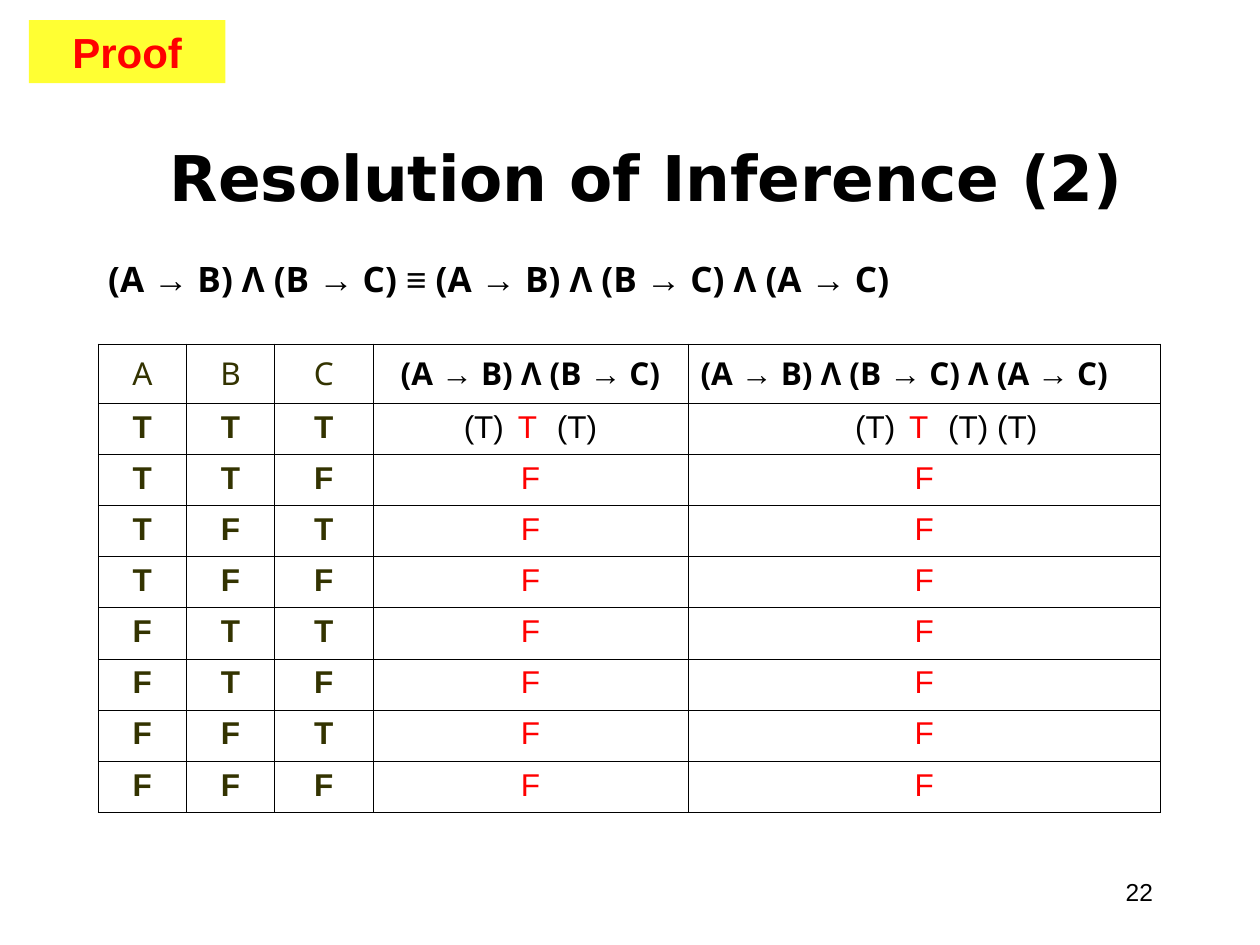
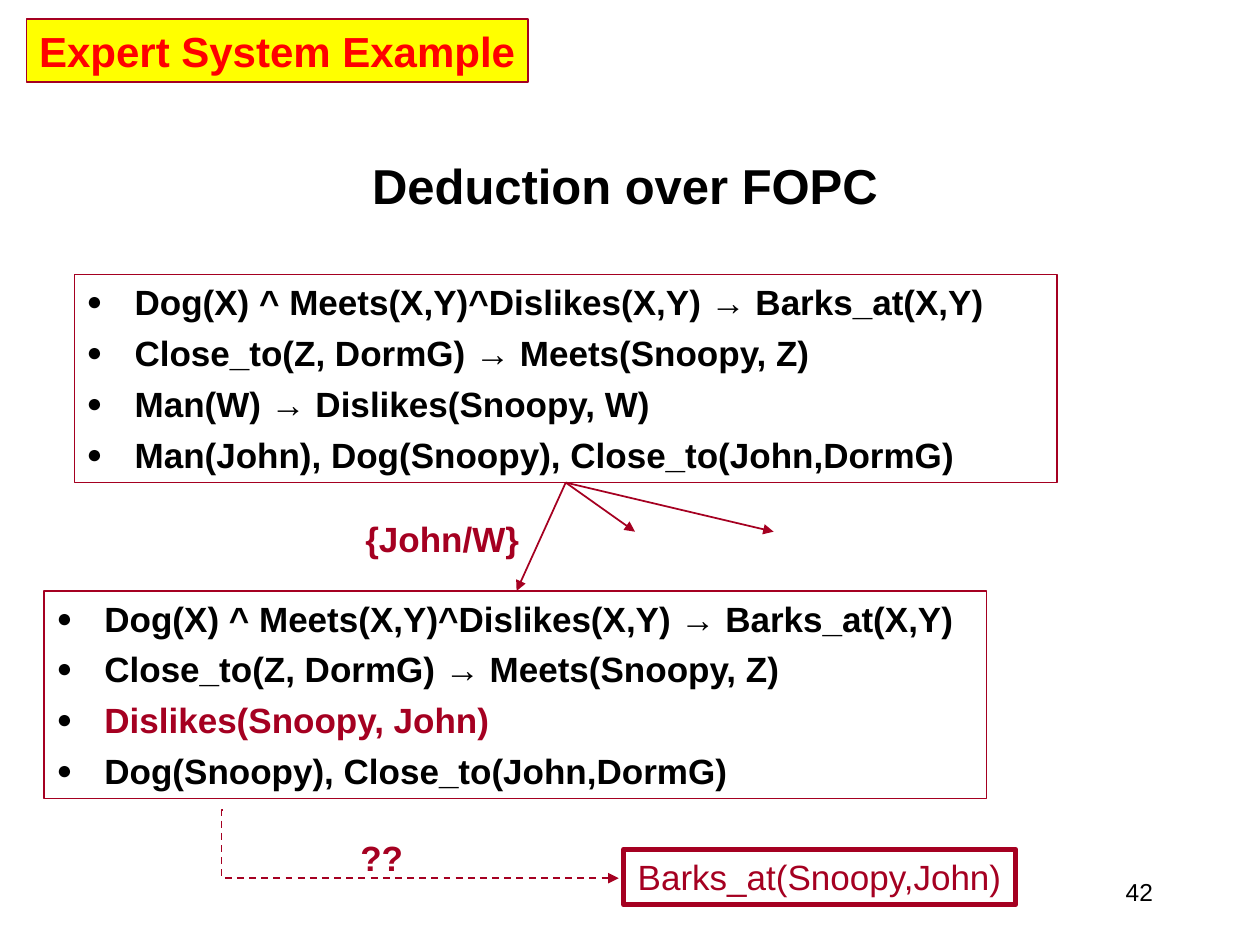
from itertools import groupby, product

from lxml import etree
from pptx import Presentation
from pptx.dml.color import RGBColor
from pptx.enum import dml, shapes, text
from pptx.oxml import ns
from pptx.util import Pt

PX = 9144
BLACK = RGBColor(0x00, 0x00, 0x00)
RED = RGBColor(0xFF, 0x00, 0x00)
CRIMSON = RGBColor(0xA5, 0x00, 0x21)
OLIVE = RGBColor(0x33, 0x33, 0x00)
LEMON = RGBColor(0xFF, 0xFF, 0x33)
YELLOW = RGBColor(0xFF, 0xFF, 0x00)
SANS, MATH, DISPLAY = "Arial", "Noto Sans", "DejaVu Sans"
LEFT, CENTER, RIGHT = text.PP_ALIGN.LEFT, text.PP_ALIGN.CENTER, text.PP_ALIGN.RIGHT
TOP, MIDDLE, BOTTOM = text.MSO_ANCHOR.TOP, text.MSO_ANCHOR.MIDDLE, text.MSO_ANCHOR.BOTTOM

PREMISE = "(A → B) Λ (B → C)"
CONCLUSION = PREMISE + " Λ (A → C)"
BARK_RULE = "Dog(X) ^ Meets(X,Y)^Dislikes(X,Y) → Barks_at(X,Y)"
MEET_RULE = "Close_to(Z, DormG) → Meets(Snoopy, Z)"


def emu(*lengths):
    return [n * PX for n in lengths]


def add_xml(parent, tag, **attrs):
    return etree.SubElement(parent, ns.qn(tag), attrs)


def style(font, size, color=BLACK, bold=False, name=SANS):
    font.size, font.bold, font.name = Pt(size), bold, name
    font.color.rgb = color


def write(p, words, size, color=BLACK, bold=False, name=SANS, align=CENTER):
    p.text = words
    p.alignment = align
    style(p.font, size, color, bold, name)


def write_formula(p, formula, size, align=LEFT):
    p.alignment = align
    for symbol, chars in groupby(formula, lambda ch: ch if ch in "→≡" else ""):
        r = p.add_run()
        r.text = "".join(chars)
        style(r.font, size, bold=symbol != "→", name=SANS if symbol else MATH)


def write_result(p, left, value, right):
    p.alignment = CENTER
    for words, color in ((left, BLACK), (f" {value} ", RED), (right, BLACK)):
        r = p.add_run()
        r.text = words
        style(r.font, 18, color)
        if color == RED:
            r.font._element.set("spc", "330")


def set_frame(tf, wrap=True, anchor=TOP):
    tf.word_wrap, tf.vertical_anchor = wrap, anchor
    tf.auto_size = text.MSO_AUTO_SIZE.NONE


def add_label(slide, box, words, size=20, align=CENTER, anchor=TOP, **font):
    tf = slide.shapes.add_textbox(*emu(*box)).text_frame
    set_frame(tf, align != CENTER, anchor)
    write(tf.paragraphs[0], words, size, align=align, **font)


def add_box(slide, box, fill=None, line=None, weight=1.0, wrap=False):
    sp = slide.shapes.add_shape(shapes.MSO_SHAPE.RECTANGLE, *emu(*box))
    sp.shadow.inherit = False
    if fill is None:
        sp.fill.background()
    else:
        sp.fill.solid()
        sp.fill.fore_color.rgb = fill
    if line is None:
        sp.line.fill.background()
    else:
        sp.line.color.rgb = line
        sp.line.width = Pt(weight)
    set_frame(sp.text_frame, wrap)
    return sp.text_frame


def add_tag(slide, box, words, fill, line=None):
    tf = add_box(slide, box, fill, line)
    write(tf.paragraphs[0], words, 24, RED, True)


def add_facts(slide, box, facts, derived=None):
    tf = add_box(slide, box, line=CRIMSON, weight=0.75, wrap=True)
    for i, fact in enumerate(facts):
        p = tf.add_paragraph() if i else tf.paragraphs[0]
        pPr = p._p.get_or_add_pPr()
        pPr.set("marL", str(38 * PX))
        pPr.set("indent", str(-38 * PX))
        if i:
            p.space_before = Pt(5)
        add_xml(add_xml(pPr, "a:buClr"), "a:srgbClr", val=str(BLACK))
        add_xml(pPr, "a:buSzPct", val="75000")
        add_xml(pPr, "a:buFont", typeface=SANS)
        add_xml(pPr, "a:buChar", char="●")
        write(p, fact, 20, CRIMSON if fact == derived else BLACK, True, align=LEFT)


def add_arrow(slide, start, end, kind=shapes.MSO_CONNECTOR.STRAIGHT, dash=None):
    c = slide.shapes.add_connector(kind, *emu(*start, *end))
    c.line.color.rgb = CRIMSON
    c.line.width = Pt(1)
    if dash:
        c.line.dash_style = dash
    spPr = c._element.spPr
    add_xml(spPr.find(ns.qn("a:ln")), "a:tailEnd", type="triangle")
    add_xml(spPr, "a:effectLst")
    return spPr


def add_down_then_right_arrow(slide, start, end):
    spPr = add_arrow(slide, start, end, shapes.MSO_CONNECTOR.ELBOW, dml.MSO_LINE.DASH)
    guides = spPr.find(".//" + ns.qn("a:avLst"))
    add_xml(guides, "a:gd", name="adj1", fmla="val -400")


def add_borders(cell):
    tcPr = cell._tc.get_or_add_tcPr()
    for side in "LRTB":
        ln = add_xml(tcPr, f"a:ln{side}", w=str(Pt(0.45)))
        add_xml(add_xml(ln, "a:solidFill"), "a:srgbClr", val=str(BLACK))


def add_truth_table(slide, left, top, widths, header_height, body_height):
    cases = list(product("TF", repeat=3))
    height = header_height + body_height
    frame = slide.shapes.add_table(len(cases) + 1, len(widths),
                                   *emu(left, top, sum(widths), height))
    table = frame.table
    table.first_row = table.horz_banding = False
    for column, width in zip(table.columns, widths):
        column.width = width * PX
    for row in table.rows:
        row.height = body_height * PX // len(cases)
    table.rows[0].height = header_height * PX
    for cell in table.iter_cells():
        add_borders(cell)
        cell.fill.background()

    headers = [cell.text_frame.paragraphs[0] for cell in table.rows[0].cells]
    for p, variable in zip(headers, "ABC"):
        write(p, variable, 18, OLIVE, name=MATH)
    write_formula(headers[3], PREMISE, 18, CENTER)
    write_formula(headers[4], CONCLUSION, 18)
    headers[4].line_spacing = 0.9
    for cell in table.rows[0].cells:
        cell.vertical_anchor = MIDDLE

    for i, case in enumerate(cases, 1):
        cells = table.rows[i].cells
        paragraphs = [cell.text_frame.paragraphs[0] for cell in cells]
        for p, value in zip(paragraphs, case):
            write(p, value, 18, OLIVE, True)
        if i == 1:
            write_result(paragraphs[3], "(T)", "T", "(T)")
            write_result(paragraphs[4], "(T)", "T", "(T) (T)")
            cells[4].margin_left = 45 * PX
        else:
            for p in paragraphs[3:]:
                write(p, "F", 18, RED)


def new_slide(prs, title, number, width, size, name):
    slide = prs.slides.add_slide(prs.slide_layouts[5])
    sp = slide.shapes.title
    sp.left, sp.top, sp.width, sp.height = emu(67, 100, width, 75)
    set_frame(sp.text_frame, anchor=BOTTOM)
    write(sp.text_frame.paragraphs[0], title, size, bold=True, name=name)
    add_label(slide, (858, 683, 67, 50), number, 14, RIGHT, MIDDLE)
    return slide


def build_proof(prs):
    slide = new_slide(prs, "Resolution of Inference (2)", "22", 892, 36, DISPLAY)
    add_truth_table(slide, 78, 273, (70, 70, 78, 250, 375), 47, 325)
    tf = slide.shapes.add_textbox(*emu(76, 203, 698, 47)).text_frame
    set_frame(tf)
    write_formula(tf.paragraphs[0], f"{PREMISE} ≡ {CONCLUSION}", 20)
    tf.paragraphs[0].line_spacing = 0.9
    add_tag(slide, (23, 16, 156, 50), "Proof", LEMON)


def build_deduction(prs):
    slide = new_slide(prs, "Deduction over FOPC", "42", 858, 28, SANS)
    add_facts(slide, (59, 218, 780, 165),
              (BARK_RULE, MEET_RULE, "Man(W) → Dislikes(Snoopy, W)",
               "Man(John), Dog(Snoopy), Close_to(John,DormG)"))
    derived = "Dislikes(Snoopy, John)"
    add_facts(slide, (35, 469, 748, 165),
              (BARK_RULE, MEET_RULE, derived, "Dog(Snoopy), Close_to(John,DormG)"),
              derived)
    for target in ((410, 469), (504, 422), (614, 422)):
        add_arrow(slide, (449, 383), target)
    add_label(slide, (280, 406, 142, 44), "{John/W}", color=CRIMSON, bold=True)
    goal = add_box(slide, (495, 674, 311, 44), line=CRIMSON, weight=3)
    write(goal.paragraphs[0], "Barks_at(Snoopy,John)", 20, CRIMSON)
    add_down_then_right_arrow(slide, (177, 643), (491, 697))
    add_label(slide, (276, 659, 54, 44), "??", color=CRIMSON, bold=True)
    add_tag(slide, (21, 15, 398, 50), "Expert System Example", YELLOW, CRIMSON)


def main():
    prs = Presentation()
    prs.slide_width, prs.slide_height = emu(1000, 750)
    build_proof(prs)
    build_deduction(prs)
    prs.save("out.pptx")


if __name__ == "__main__":
    main()
